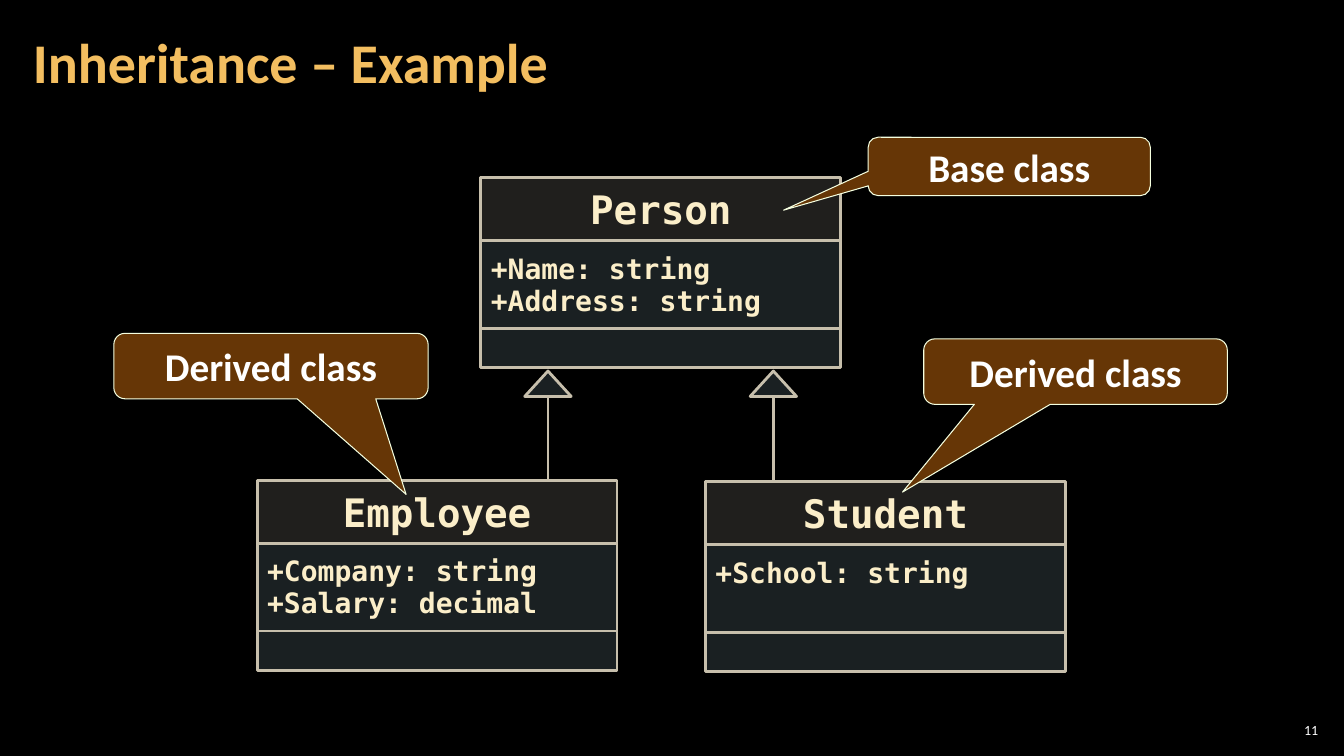
"""Build the slide on inheritance with three class boxes."""
from lxml import etree
from pptx import Presentation
from pptx import util as u
from pptx.dml.color import RGBColor
from pptx.enum import shapes, text
from pptx.oxml.ns import qn

BLACK = RGBColor(0x00, 0x00, 0x00)
WHITE = RGBColor(0xFF, 0xFF, 0xFF)
GOLD = RGBColor(0xF3, 0xBE, 0x60)
CREAM = RGBColor(0xFB, 0xEE, 0xC9)
SAND = RGBColor(0xD9, 0xD5, 0xC7)
ICE = RGBColor(0xB5, 0xDB, 0xE5)
BORDER = RGBColor(0xC7, 0xBF, 0xAC)
BROWN = RGBColor(0x66, 0x36, 0x06)
PALE = RGBColor(0xF5, 0xFF, 0xE0)

SANS, MONO = "Calibri", "DejaVu Sans Mono"
LEFT, CENTER, RIGHT = text.PP_ALIGN.LEFT, text.PP_ALIGN.CENTER, text.PP_ALIGN.RIGHT
TOP, MIDDLE = text.MSO_ANCHOR.TOP, text.MSO_ANCHOR.MIDDLE

CLASS_WIDTH = 9.07
NAME_HEIGHT, FIELDS_HEIGHT, METHODS_HEIGHT = 1.6, 2.2, 1.0


def set_attrs(obj, values):
    """Set each attribute named in values."""
    for name, value in values.items():
        setattr(obj, name, value)


def write(sp, lines, font, size, color, bold=True, align=CENTER, spacing=1.0,
          anchor=MIDDLE, insets=(0.25, 0.13, 0.25, 0.13)):
    """Write lines as paragraphs in a shape."""
    tf = sp.text_frame
    sides = ("margin_left", "margin_top", "margin_right", "margin_bottom")
    set_attrs(tf, {"word_wrap": True, "auto_size": text.MSO_AUTO_SIZE.NONE,
                   "vertical_anchor": anchor})
    set_attrs(tf, {side: u.Cm(inset) for side, inset in zip(sides, insets)})
    for i, line in enumerate(lines):
        p = tf.paragraphs[0] if i == 0 else tf.add_paragraph()
        set_attrs(p, {"alignment": align, "line_spacing": spacing})
        r = p.add_run()
        r.text = line
        set_attrs(r.font, {"name": font, "size": u.Pt(size), "bold": bold})
        r.font.color.rgb = color


def add_shape(s, kind, x, y, w, h, fill, line, width, opacity=100):
    """Add a filled and outlined preset shape."""
    sp = s.shapes.add_shape(kind, u.Cm(x), u.Cm(y), u.Cm(w), u.Cm(h))
    sp.shadow.inherit = False
    sp.fill.solid()
    sp.fill.fore_color.rgb = fill
    sp.line.color.rgb = line
    sp.line.width = u.Pt(width)
    if opacity < 100:
        clr = sp.fill._xPr.find(qn("a:solidFill"))[0]
        etree.SubElement(clr, qn("a:alpha")).set("val", str(opacity * 1000))
    return sp


def add_class(s, x, y, name, fields):
    """Add a class box with name, fields and methods parts."""
    rows = ((NAME_HEIGHT, SAND), (FIELDS_HEIGHT, ICE), (METHODS_HEIGHT, ICE))
    parts = []
    for h, fill in rows:
        parts.append(add_shape(s, shapes.MSO_SHAPE.RECTANGLE, x, y, CLASS_WIDTH, h,
                               fill, BORDER, 2, 15))
        y += h
    write(parts[0], [name], MONO, 28, CREAM)
    write(parts[1], fields, MONO, 20, CREAM, align=LEFT, spacing=0.95,
          anchor=TOP, insets=(0.25, 0.32, 0.25, 0.13))


def add_callout(s, x, y, w, h, label, tip):
    """Add a rounded callout whose tip is relative to its size."""
    sp = add_shape(s, shapes.MSO_SHAPE.ROUNDED_RECTANGULAR_CALLOUT, x, y, w, h,
                   BROWN, PALE, 0.75)
    for i, value in enumerate(tip):
        sp.adjustments[i] = value
    write(sp, [label], SANS, 28, WHITE)


def add_inheritance(s, x):
    """Add a vertical line topped by a hollow triangle."""
    cn = s.shapes.add_connector(shapes.MSO_CONNECTOR.STRAIGHT,
                                u.Cm(x), u.Cm(9.98), u.Cm(x), u.Cm(12.12))
    cn.line.color.rgb = BORDER
    cn.line.width = u.Pt(2)
    etree.SubElement(cn._element.spPr, qn("a:effectLst"))
    w, h = 1.17, 0.64
    add_shape(s, shapes.MSO_SHAPE.ISOSCELES_TRIANGLE, x - w / 2, 9.35, w, h,
              ICE, BORDER, 2, 15)


def add_title(s, title):
    """Move and format the title placeholder."""
    sp = s.shapes.title
    set_attrs(sp, {"left": u.Cm(0.53), "top": u.Cm(0.1),
                   "width": u.Cm(26.59), "height": u.Cm(3.07)})
    write(sp, [title], SANS, 40, GOLD, align=LEFT, spacing=0.9,
          insets=(0.3, 0.1, 0.3, 0.1))


def add_number(s, number):
    """Add the slide number in the lower right corner."""
    sp = s.shapes.add_textbox(u.Cm(32.13), u.Cm(18.14), u.Cm(1.19), u.Cm(0.53))
    write(sp, [number], SANS, 10, WHITE, bold=False, align=RIGHT, insets=(0.1,) * 4)


def main():
    """Build and save the slide."""
    prs = Presentation()
    set_attrs(prs, {"slide_width": u.Cm(33.87), "slide_height": u.Cm(19.05)})
    s = prs.slides.add_slide(prs.slide_layouts[5])
    s.background.fill.solid()
    s.background.fill.fore_color.rgb = BLACK
    add_title(s, "Inheritance – Example")
    add_number(s, "11")
    add_class(s, 12.12, 4.47, "Person", ["+Name: string", "+Address: string"])
    add_class(s, 6.48, 12.1, "Employee", ["+Company: string", "+Salary: decimal"])
    add_class(s, 17.78, 12.13, "Student", ["+School: string"])
    add_callout(s, 21.88, 3.46, 7.11, 1.47, "Base class", (-0.8, 0.75, 0.17))
    add_callout(s, 23.28, 8.54, 7.65, 1.65, "Derived class", (-0.57, 1.84, 0.17))
    add_callout(s, 2.87, 8.4, 7.92, 1.65, "Derived class", (0.43, 1.96, 0.17))
    for x in (13.81, 19.49):
        add_inheritance(s, x)
    prs.save("out.pptx")


if __name__ == "__main__":
    main()
